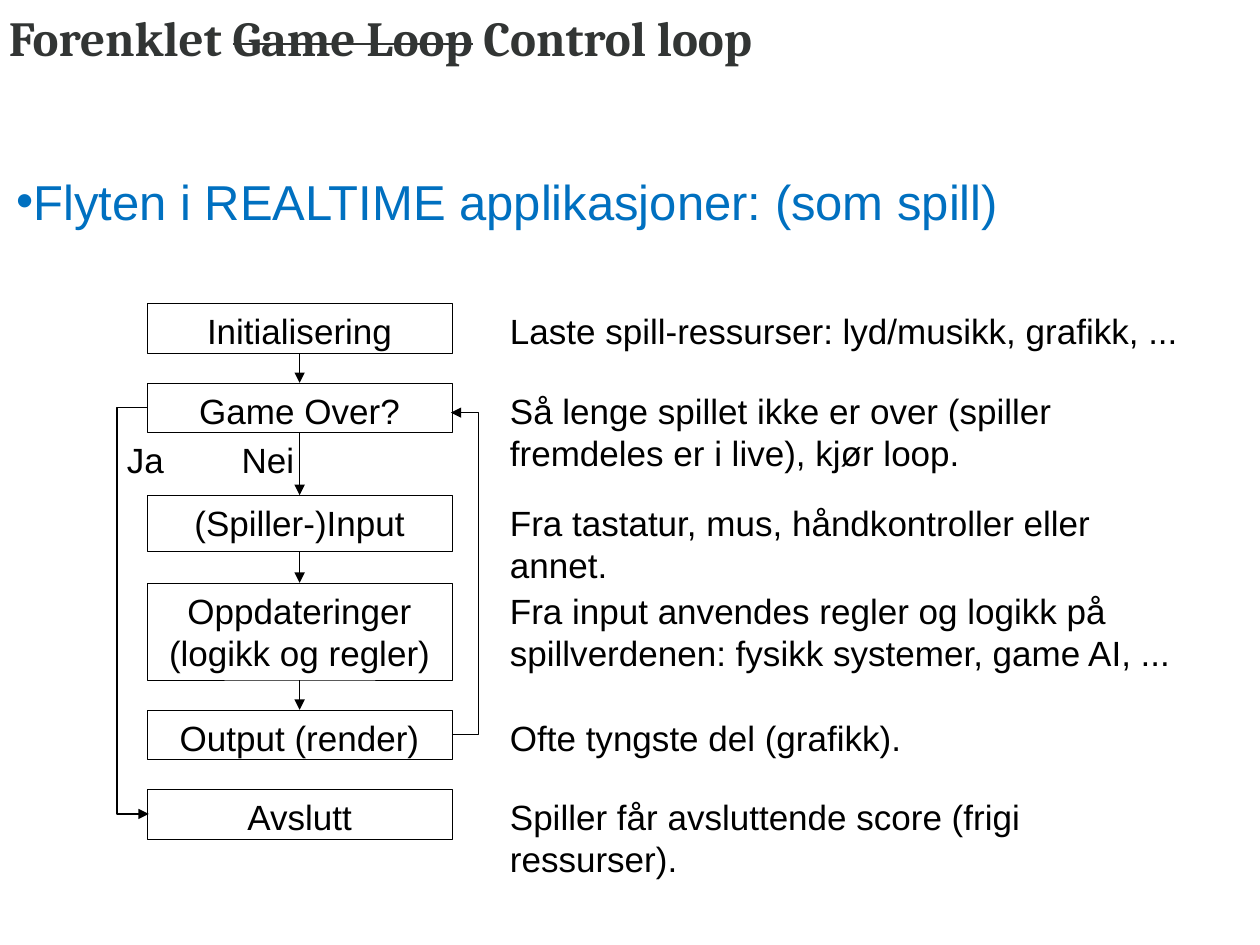
from collections import namedtuple

from lxml import etree
from pptx import Presentation
from pptx import util as u
from pptx.dml.color import RGBColor
from pptx.enum import shapes, text
from pptx.oxml import ns

BLACK = RGBColor(0x00, 0x00, 0x00)
WHITE = RGBColor(0xFF, 0xFF, 0xFF)
DARK_GREY = RGBColor(0x32, 0x35, 0x34)
BLUE = RGBColor(0x00, 0x70, 0xC0)

Box = namedtuple("Box", "left top width height")
Step = namedtuple("Step", "label description height gap wrap")

STEPS = [
    Step("Initialisering", "Laste spill-ressurser: lyd/musikk, grafikk, ...", 1, 0.6, False),
    Step("Game Over?", "Så lenge spillet ikke er over (spiller \vfremdeles er i live), kjør loop.",
         1, 1.26, True),
    Step("(Spiller-)Input", "Fra tastatur, mus, håndkontroller eller annet.", 1.14, 0.63, False),
    Step("Oppdateringer\n(logikk og regler)",
         "Fra input anvendes regler og logikk på spillverdenen: fysikk systemer, game AI, ...",
         1.96, 0.6, True),
    Step("Output (render)", "Ofte tyngste del (grafikk).", 1, 0.6, False),
    Step("Avslutt", "Spiller får avsluttende score (frigi ressurser).", 1, 0, False),
]


def in_cm(*lengths):
    """Convert numbers to centimetre lengths."""
    return [u.Cm(length) for length in lengths]


def add_run(paragraph, words, size=20, font="Arial", color=BLACK, bold=False, strike=False):
    """Append formatted text to a paragraph, with a line break at each vertical tab."""
    for index, line in enumerate(words.split("\v")):
        if index:
            paragraph.add_line_break()
        run = paragraph.add_run()
        run.text = line
        run.font.size = u.Pt(size)
        run.font.name = font
        run.font.bold = bold
        run.font.color.rgb = color
        if strike:
            run.font._element.set("strike", "sngStrike")


def fill_frame(frame, words, align=text.PP_ALIGN.LEFT, wrap=False, **style):
    """Put one paragraph per line of text in a top-anchored frame."""
    frame.word_wrap = wrap
    frame.vertical_anchor = text.MSO_ANCHOR.TOP
    for index, line in enumerate(words.split("\n")):
        paragraph = frame.add_paragraph() if index else frame.paragraphs[0]
        paragraph.alignment = align
        add_run(paragraph, line, **style)


def set_placeholder(placeholder, box, inset_left, inset_top):
    """Move a placeholder and return its left-aligned first paragraph."""
    placeholder.left, placeholder.top, placeholder.width, placeholder.height = in_cm(*box)
    frame = placeholder.text_frame
    frame.auto_size = text.MSO_AUTO_SIZE.NONE
    frame.vertical_anchor = text.MSO_ANCHOR.TOP
    frame.margin_left, frame.margin_top = in_cm(inset_left, inset_top)
    frame.margin_right = frame.margin_bottom = 0
    paragraph = frame.paragraphs[0]
    paragraph.alignment = text.PP_ALIGN.LEFT
    return paragraph


def add_title(slide, box):
    """Write the heading with its struck-out words."""
    paragraph = set_placeholder(slide.shapes.title, box, 0.15, 0.08)
    for words, strike in (("Forenklet ", False), ("Game Loop", True), (" Control loop", False)):
        add_run(paragraph, words, size=28, font="Cambria", color=DARK_GREY, bold=True, strike=strike)


def add_body(slide, box):
    """Write the bulleted introduction."""
    paragraph = set_placeholder(slide.placeholders[1], box, 0, 0.3)
    paragraph.line_spacing = 1.2
    paragraph.space_before = u.Pt(4.2)
    properties = paragraph._p.get_or_add_pPr()
    properties.set("marL", str(u.Cm(0.05)))
    properties.set("indent", "0")
    etree.SubElement(properties, ns.qn("a:buChar"), char="•")
    add_run(paragraph, "Flyten i REALTIME applikasjoner: (som spill)", size=28, color=BLUE)


def add_label(slide, words, box, **style):
    """Add a text box."""
    label = slide.shapes.add_textbox(*in_cm(*box))
    fill_frame(label.text_frame, words, **style)


def add_step(slide, words, box):
    """Add one outlined flow chart box."""
    shape = slide.shapes.add_shape(shapes.MSO_SHAPE.RECTANGLE, *in_cm(*box))
    shape.shadow.inherit = False
    shape.fill.solid()
    shape.fill.fore_color.rgb = WHITE
    shape.line.color.rgb = BLACK
    shape.line.width = u.Pt(0.25)
    fill_frame(shape.text_frame, words, align=text.PP_ALIGN.CENTER)


def add_arrow(slide, start, end, via=None):
    """Add an arrow, bent through the vertical at via when that is given."""
    kind = shapes.MSO_CONNECTOR.STRAIGHT if via is None else shapes.MSO_CONNECTOR.ELBOW
    arrow = slide.shapes.add_connector(kind, *in_cm(*start, *end))
    arrow.line.color.rgb = BLACK
    arrow.line.width = u.Pt(0.75)
    properties = arrow._element.spPr
    etree.SubElement(arrow.line._get_or_add_ln(), ns.qn("a:tailEnd"), type="triangle")
    etree.SubElement(properties, ns.qn("a:effectLst"))
    if via is not None:
        share = round((via - start[0]) / (end[0] - start[0]) * 100000)
        guides = properties.find(ns.qn("a:prstGeom")).find(ns.qn("a:avLst"))
        etree.SubElement(guides, ns.qn("a:gd"), name="adj1", fmla=f"val {share}")


def add_flow(slide, box):
    """Draw the control loop with a description beside each step."""
    step_width = 6.14
    right, center = box.left + step_width, box.left + step_width / 2
    description_left = box.left + 7.06
    top, middles = box.top, []
    for index, step in enumerate(STEPS):
        add_step(slide, step.label, Box(box.left, top, step_width, step.height))
        add_label(slide, step.description,
                  Box(description_left, top, box.left + box.width - description_left, 1.12),
                  wrap=step.wrap)
        middles.append(top + step.height / 2)
        bottom = top + step.height
        top = bottom + step.gap
        if index < len(STEPS) - 2:
            add_arrow(slide, (center, bottom), (center, top))
        if step.label == "Game Over?":
            add_label(slide, "Ja", Box(box.left - 0.66, bottom, 1.6, 1.12))
            add_label(slide, "Nei", Box(box.left + 1.65, bottom, 1.57, 1.12))
    check, output, finish = middles[1], middles[4], middles[5]
    add_arrow(slide, (box.left, check), (box.left + 0.03, finish), via=box.left - 0.61)
    add_arrow(slide, (right, output), (right - 0.02, check + 0.1), via=right + 0.54)


def main():
    """Build and save the slide."""
    presentation = Presentation()
    presentation.slide_width, presentation.slide_height = in_cm(25.4, 19.05)
    slide = presentation.slides.add_slide(presentation.slide_layouts[1])
    add_title(slide, Box(0.03, 0.08, 24.94, 2.84))
    add_body(slide, Box(0.28, 2.92, 25.12, 15.7))
    add_flow(slide, Box(2.97, 6.12, 21.3, 10.8))
    presentation.save("out.pptx")


if __name__ == "__main__":
    main()
